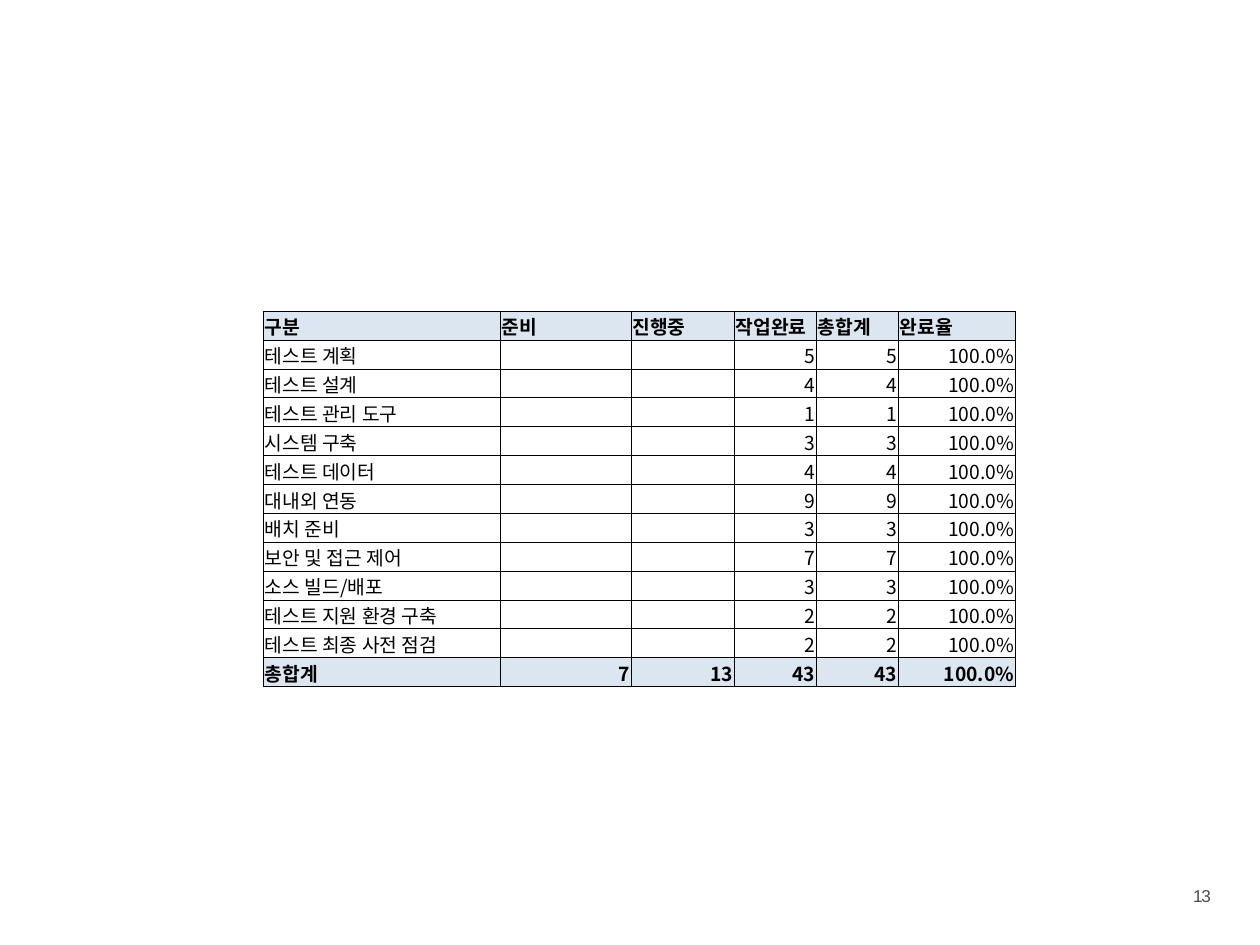
from pptx import Presentation
from pptx import util as u
from pptx.dml.color import RGBColor
from pptx.enum import text
from pptx.oxml import parse_xml
from pptx.oxml.ns import nsdecls, qn
from lxml import etree

COLORS = {"band": "DCE6F1", "ink": "000000", "page": "4C4C4E"}
FONT = "Noto Sans CJK KR"
ROW_HEIGHT = 2.98 / 13
COLUMN_WIDTHS = [1.88, 1.04, 0.82, 0.65, 0.65, 0.93]
HEADERS = ["구분", "준비", "진행중", "작업완료", "총합계", "완료율"]
TASKS = [
    ("테스트 계획", 5),
    ("테스트 설계", 4),
    ("테스트 관리 도구", 1),
    ("시스템 구축", 3),
    ("테스트 데이터", 4),
    ("대내외 연동", 9),
    ("배치 준비", 3),
    ("보안 및 접근 제어", 7),
    ("소스 빌드/배포", 3),
    ("테스트 지원 환경 구축", 2),
    ("테스트 최종 사전 점검", 2),
]
TOTALS = ["총합계", "7", "13", "43", "43", "100.0%"]
rows = [HEADERS]
rows += [[task, "", "", str(count), str(count), "100.0%"] for task, count in TASKS]
rows.append(TOTALS)


def add_borders(cell):
    properties = cell._tc.get_or_add_tcPr()
    for side in ("lnL", "lnR", "lnT", "lnB"):
        properties.append(parse_xml(
            f'<a:{side} {nsdecls("a")} w="6350"><a:solidFill>'
            f'<a:srgbClr val="{COLORS["ink"]}"/></a:solidFill></a:{side}>'))


presentation = Presentation()
presentation.slide_width = u.Inches(10)
presentation.slide_height = u.Inches(7.5)
slide = presentation.slides.add_slide(presentation.slide_layouts[6])

page_number = slide.shapes.add_textbox(
    u.Inches(9.37), u.Inches(6.98), u.Inches(0.34), u.Inches(0.27))
page_number.text_frame.word_wrap = False
page_number.text_frame.auto_size = text.MSO_AUTO_SIZE.SHAPE_TO_FIT_TEXT
paragraph = page_number.text_frame.paragraphs[0]
paragraph.alignment = text.PP_ALIGN.CENTER
run = paragraph.add_run()
run.text = "13"
run.font.size = u.Pt(9.8)
run.font.name = "Arial"
run.font.color.rgb = RGBColor.from_string(COLORS["page"])
run._r.get_or_add_rPr().set("spc", "-70")

table = slide.shapes.add_table(
    len(rows), len(HEADERS), u.Inches(2.09), u.Inches(2.47),
    u.Inches(sum(COLUMN_WIDTHS)), u.Inches(ROW_HEIGHT * len(rows))).table
for column, width in zip(table.columns, COLUMN_WIDTHS):
    column.width = u.Inches(width)

for row_index, values in enumerate(rows):
    table.rows[row_index].height = u.Inches(ROW_HEIGHT)
    is_band = row_index in (0, len(rows) - 1)
    for column_index, value in enumerate(values):
        cell = table.cell(row_index, column_index)
        cell.margin_left = cell.margin_right = cell.margin_top = u.Inches(0.01)
        cell.margin_bottom = 0
        cell.vertical_anchor = text.MSO_ANCHOR.BOTTOM
        add_borders(cell)
        if is_band:
            cell.fill.solid()
            cell.fill.fore_color.rgb = RGBColor.from_string(COLORS["band"])
        else:
            cell.fill.background()
        paragraph = cell.text_frame.paragraphs[0]
        if value:
            paragraph.text = value
        else:
            etree.SubElement(paragraph._p, qn("a:endParaRPr")).set("sz", "1100")
        if row_index and column_index:
            paragraph.alignment = text.PP_ALIGN.RIGHT
        paragraph.font.size = u.Pt(11)
        paragraph.font.bold = is_band
        paragraph.font.color.rgb = RGBColor.from_string(COLORS["ink"])
        paragraph.font.name = FONT
        defaults = paragraph._p.pPr.find(qn("a:defRPr"))
        etree.SubElement(defaults, qn("a:ea")).set("typeface", FONT)

presentation.save("out.pptx")
